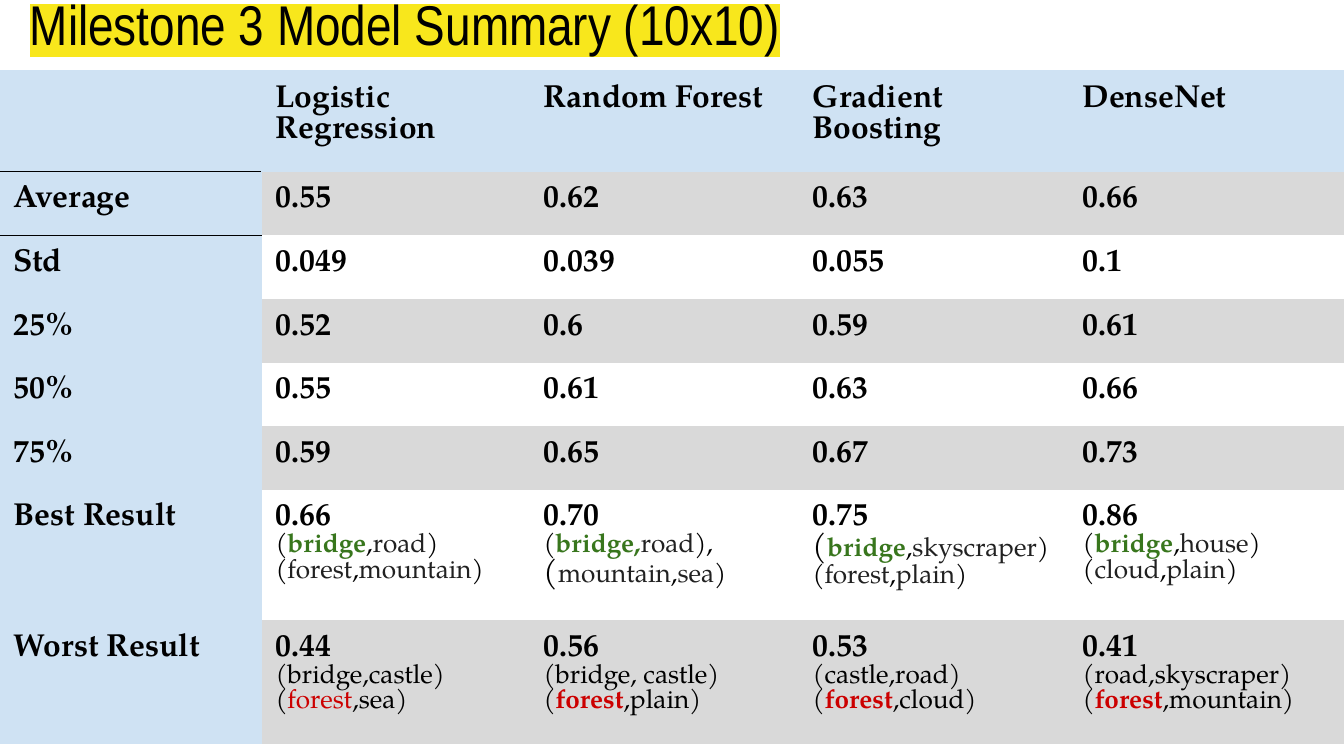
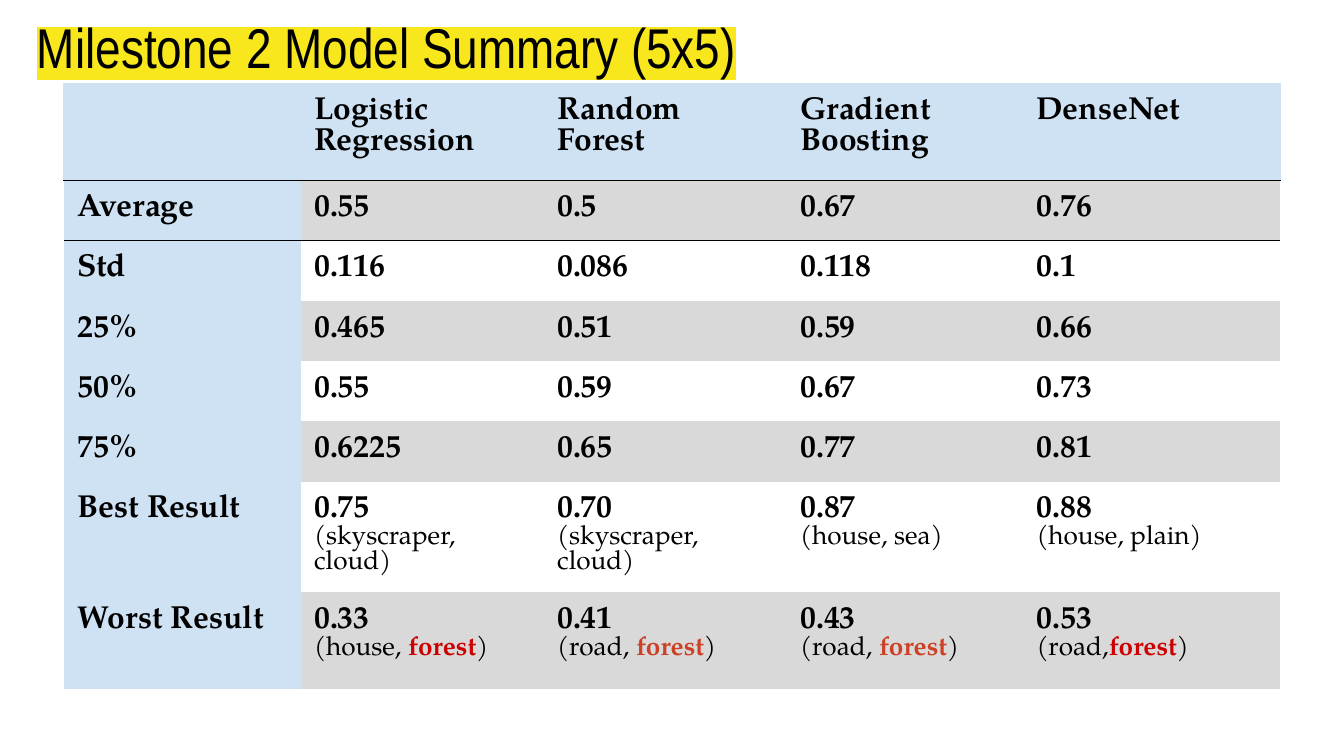
from dataclasses import dataclass

from lxml import etree
from pptx import Presentation
from pptx.dml.color import RGBColor
from pptx.enum import text
from pptx.oxml import ns
from pptx.util import Pt


@dataclass(frozen=True)
class Theme:
    title_font: str = "Arial Narrow"
    body_font: str = "TeX Gyre Pagella"
    title_size: int = 30
    value_size: int = 17
    pair_size: int = 14
    leading: float = 0.98
    inset: float = 7.2
    rule: float = 0.75
    black: str = "000000"
    dark: str = "212121"
    white: str = "FFFFFF"
    yellow: str = "F8E71C"
    blue: str = "CFE2F3"
    grey: str = "D9D9D9"
    green: str = "38761D"
    red: str = "CC0000"
    rust: str = "CC4125"


T = Theme()

STYLES = {
    "g": dict(color=T.green, bold=True, highlight=T.white),
    "c": dict(color=T.green, bold=True),
    "d": dict(color=T.dark, highlight=T.white),
    "r": dict(color=T.red, bold=True),
    "p": dict(color=T.red),
    "o": dict(color=T.rust, bold=True),
    "b": dict(size=T.value_size),
}

MODELS = ["", "Logistic\nRegression", "Random Forest", "Gradient Boosting", "DenseNet"]

TEN_BY_TEN = [
    MODELS,
    ["Average", "0.55", "0.62", "0.63", "0.66"],
    ["Std", "0.049", "0.039", "0.055", "0.1"],
    ["25%", "0.52", "0.6", "0.59", "0.61"],
    ["50%", "0.55", "0.61", "0.63", "0.66"],
    ["75%", "0.59", "0.65", "0.67", "0.73"],
    [
        "Best Result",
        "0.66\n(|g:bridge|,|d:road|)\n(|d:forest|,|d:mountain|)",
        "0.70\n(|g:bridge|c:,|d:road|),\nb:(|d:mountain|,|d:sea|)",
        "0.75\nb:(|g:bridge|,|d:skyscraper|)\n(|d:forest|,|d:plain|)",
        "0.86\n(|g:bridge|,|d:house|)\n(|d:cloud|,|d:plain|)",
    ],
    [
        "Worst Result",
        "0.44\n(bridge,castle)\n(|p:forest|,sea)",
        "0.56\n(bridge, castle)\n(|r:forest|,plain)",
        "0.53\n(castle,road)\n(|r:forest|,cloud)",
        "0.41\n(road,skyscraper)\n(|r:forest|,mountain)",
    ],
]

FIVE_BY_FIVE = [
    MODELS,
    ["Average", "0.55", "0.5", "0.67", "0.76"],
    ["Std", "0.116", "0.086", "0.118", "0.1"],
    ["25%", "0.465", "0.51", "0.59", "0.66"],
    ["50%", "0.55", "0.59", "0.67", "0.73"],
    ["75%", "0.6225", "0.65", "0.77", "0.81"],
    [
        "Best Result",
        "0.75\n(skyscraper, cloud)",
        "0.70\n(skyscraper, cloud)",
        "0.87\n(house, sea)",
        "0.88\n(house, plain)",
    ],
    [
        "Worst Result",
        "0.33\n(house, |r:forest|)",
        "0.41\n(road, |o:forest|)",
        "0.43\n(road, |o:forest|)",
        "0.53\n(road,|r:forest|)",
    ],
]


def solid(parent, tag, color):
    el = etree.SubElement(parent, ns.qn(tag))
    etree.SubElement(el, ns.qn("a:srgbClr"), val=color)


def format_run(r, font, size, color=T.black, bold=False, highlight=None):
    r.font.size = Pt(size)
    r.font.bold = bold
    r.font.name = font
    r.font.color.rgb = RGBColor.from_string(color)
    if highlight:
        mark = etree.Element(ns.qn("a:highlight"))
        etree.SubElement(mark, ns.qn("a:srgbClr"), val=highlight)
        r.font._element.find(ns.qn("a:solidFill")).addnext(mark)


def set_insets(box):
    box.margin_left = box.margin_right = Pt(T.inset)
    box.margin_top = box.margin_bottom = Pt(T.inset)


def set_title(s, title, left, top):
    sp = s.shapes.title
    sp.left, sp.top, sp.width, sp.height = Pt(left), Pt(top), Pt(671), Pt(45.4)
    tf = sp.text_frame
    tf.text = title
    tf.word_wrap = True
    tf.auto_size = text.MSO_AUTO_SIZE.NONE
    tf.vertical_anchor = text.MSO_ANCHOR.TOP
    set_insets(tf)
    p = tf.paragraphs[0]
    p.alignment = text.PP_ALIGN.LEFT
    format_run(p.runs[0], T.title_font, T.title_size, highlight=T.yellow)


def write_line(p, line, size, bold):
    tallest = size
    for piece in line.split("|"):
        key, mark, words = piece.partition(":")
        style = dict(size=size, bold=bold)
        if mark:
            style.update(STYLES[key])
        r = p.add_run()
        r.text = words if mark else piece
        format_run(r, T.body_font, **style)
        tallest = max(tallest, style["size"])
    p.line_spacing = Pt(tallest * T.leading)


def fill_cell(cell, content, color, is_header):
    set_insets(cell)
    if color:
        cell.fill.solid()
        cell.fill.fore_color.rgb = RGBColor.from_string(color)
    else:
        cell.fill.background()
    if not content:
        return
    tf = cell.text_frame
    for i, line in enumerate(content.split("\n")):
        p = tf.add_paragraph() if i else tf.paragraphs[0]
        strong = is_header or i == 0
        write_line(p, line, T.value_size if strong else T.pair_size, strong)


def set_borders(cell, sides):
    tcPr = cell._tc.get_or_add_tcPr()
    for i, side in enumerate("LRTB"):
        ln = etree.Element(ns.qn(f"a:ln{side}"), w=str(Pt(T.rule)))
        if sides.get(side):
            solid(ln, "a:solidFill", sides[side])
        else:
            etree.SubElement(ln, ns.qn("a:noFill"))
        tcPr.insert(i, ln)


def cell_color(row, col):
    if row == 0 or col == 0:
        return T.blue
    return T.grey if row % 2 else None


def cell_borders(row, col, ruled):
    under_header = T.black if col < ruled else T.blue
    under_average = T.black if col < ruled else None
    if row == 0:
        return dict(L=T.blue, R=T.blue, T=T.blue, B=under_header)
    if row == 1:
        return dict(T=under_header, B=under_average)
    if row == 2:
        return dict(T=under_average)
    return {}


def add_results(s, rows, left, top, widths, heights, ruled):
    frame = s.shapes.add_table(len(rows), len(widths), Pt(left), Pt(top),
                               Pt(sum(widths)), Pt(sum(heights)))
    table = frame.table
    table.first_row = table.horz_banding = False
    for column, width in zip(table.columns, widths):
        column.width = Pt(width)
    for i, (row, height) in enumerate(zip(rows, heights)):
        table.rows[i].height = Pt(height)
        for j, content in enumerate(row):
            cell = table.cell(i, j)
            fill_cell(cell, content, cell_color(i, j), i == 0)
            set_borders(cell, cell_borders(i, j, ruled))


def add_summary(prs, title, title_at, rows, table_at, widths, heights, ruled):
    s = prs.slides.add_slide(prs.slide_layouts[5])
    set_title(s, title, *title_at)
    add_results(s, rows, *table_at, widths, heights, ruled)


def main():
    prs = Presentation()
    prs.slide_width, prs.slide_height = Pt(720), Pt(405)
    add_summary(prs, "Milestone 3 Model Summary (10x10)", (8.8, -13),
                TEN_BY_TEN, (0, 38), [140.4, 143.6, 144.2, 144.6, 147.2],
                [54, *[34.1] * 5, 70, 66.4], ruled=1)
    add_summary(prs, "Milestone 2 Model Summary (5x5)", (12.6, -0.7),
                FIVE_BY_FIVE, (34.3, 44.6), [126.8, 130.2, 130.2, 126.6, 137.6],
                [52, *[32.3] * 5, 59.4, 52], ruled=5)
    prs.save("out.pptx")


if __name__ == "__main__":
    main()
